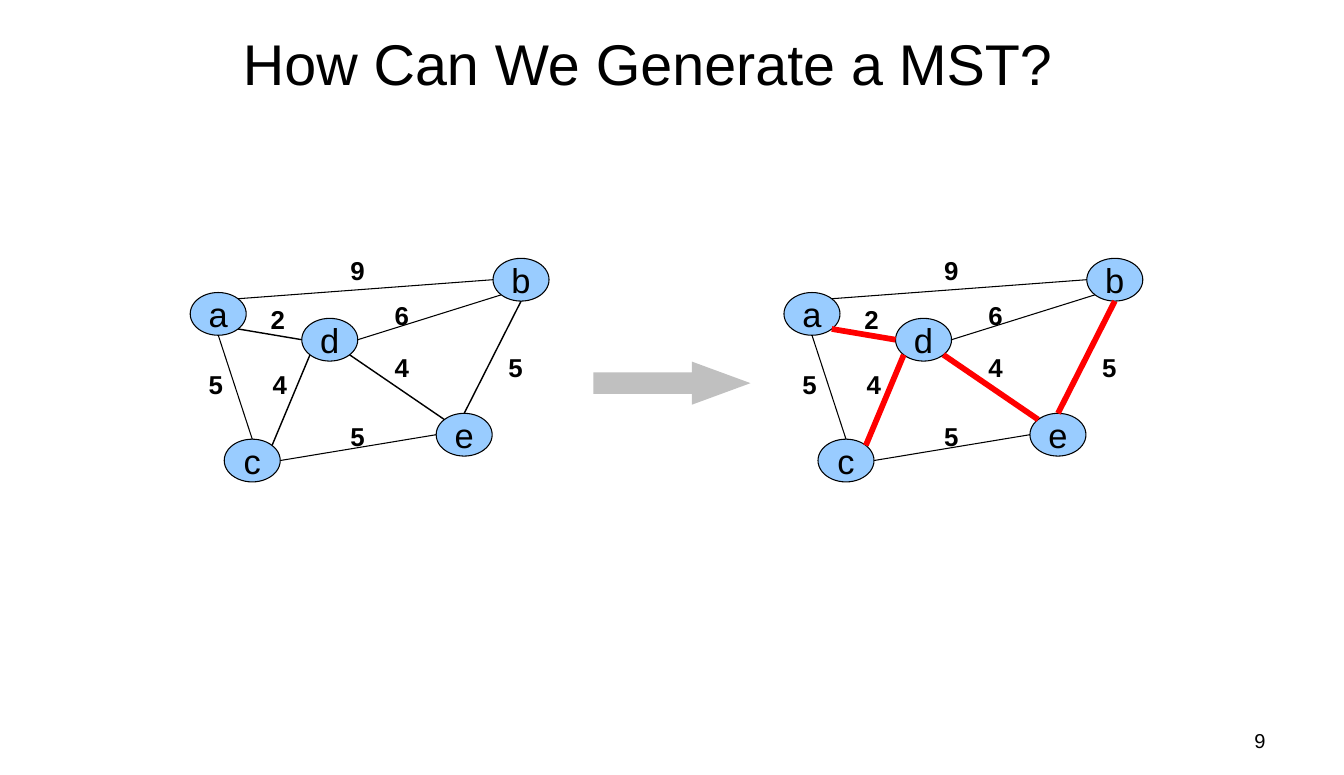
from dataclasses import dataclass
from math import sqrt

from pptx import Presentation
from pptx.dml.color import RGBColor
from pptx.enum.shapes import MSO_CONNECTOR, MSO_SHAPE
from pptx.enum.text import MSO_ANCHOR, MSO_AUTO_SIZE, PP_ALIGN
from pptx.oxml.ns import qn
from pptx.util import Pt


@dataclass(frozen=True)
class Theme:
    font: str = "Arial"
    ink: str = "000000"
    node: str = "99CCFF"
    tree: str = "FF0000"
    arrow: str = "C0C0C0"
    title: int = 40
    name: int = 24
    cost: int = 18
    page: int = 14
    thin: float = 0.75
    mid: float = 1
    thick: float = 4


THEME = Theme()
TITLE = "How Can We Generate a MST? "
PAGE = "9"
NODES = {  # left, top
    "a": (132.5, 203.8),
    "c": (156.2, 306),
    "e": (303.8, 288),
    "d": (210.2, 221.8),
    "b": (343.4, 180),
}
EDGES = [  # from, site, to, site, cost, cost left, cost top, in tree
    ("a", "ne", "b", "w", "9", 236.9, 174.2, False),
    ("d", "e", "b", "sw", "6", 267.8, 205.2, False),
    ("a", "s", "c", "n", "5", 138.2, 253.4, False),
    ("a", "se", "d", "w", "2", 181.4, 208, True),
    ("c", "ne", "d", "sw", "4", 182.9, 253.4, True),
    ("d", "se", "e", "nw", "4", 267.8, 241.2, True),
    ("b", "s", "e", "n", "5", 347, 241.2, True),
    ("e", "w", "c", "e", "5", 236.9, 289.4, False),
]
NODE_W, NODE_H = 39, 29.8
COST_W, COST_H = 24.5, 28.8
SHIFT = 413.5  # from the first graph to the second


def box(x, y, w, h):
    return Pt(x), Pt(y), Pt(w), Pt(h)


def write(shape, text, size, bold=False, align=PP_ALIGN.LEFT,
          anchor=MSO_ANCHOR.TOP, wrap=False):
    frame = shape.text_frame
    frame.text = text
    frame.word_wrap = wrap
    frame.auto_size = MSO_AUTO_SIZE.NONE
    frame.vertical_anchor = anchor
    para = frame.paragraphs[0]
    para.alignment = align
    font = para.runs[0].font
    font.name, font.size, font.bold = THEME.font, Pt(size), bold
    font.color.rgb = RGBColor.from_string(THEME.ink)


def add_solid(shapes, kind, place, fill):
    shape = shapes.add_shape(kind, *place)
    shape.shadow.inherit = False
    shape.fill.solid()
    shape.fill.fore_color.rgb = RGBColor.from_string(fill)
    return shape


def set_line(shape, color, width):
    shape.line.color.rgb = RGBColor.from_string(color)
    shape.line.width = Pt(width)


def site(name, side, dx):
    """Point on a node's rim in the given compass direction."""
    x, y = NODES[name]
    right = ("e" in side) - ("w" in side)
    down = ("s" in side) - ("n" in side)
    reach = 0.5 / sqrt(len(side))
    return (Pt(x + dx + NODE_W * (0.5 + right * reach)),
            Pt(y + NODE_H * (0.5 + down * reach)))


def add_graph(slide, dx, show):
    """Draw the graph dx points to the right, with its tree in colour if show."""
    shapes = slide.shapes.add_group_shape().shapes
    for name, (x, y) in NODES.items():
        node = add_solid(shapes, MSO_SHAPE.OVAL,
                         box(x + dx, y, NODE_W, NODE_H), THEME.node)
        set_line(node, THEME.ink, THEME.thin)
        write(node, name, THEME.name, align=PP_ALIGN.CENTER,
              anchor=MSO_ANCHOR.MIDDLE)
    for start, out, end, into, *_, tree in EDGES:
        edge = shapes.add_connector(MSO_CONNECTOR.STRAIGHT,
                                    *site(start, out, dx), *site(end, into, dx))
        if tree and show:
            set_line(edge, THEME.tree, THEME.thick)
        else:
            set_line(edge, THEME.ink, THEME.mid if tree else THEME.thin)
        props = edge._element.spPr
        props.append(props.makeelement(qn("a:effectLst"), {}))
    for *_, cost, x, y, _ in EDGES:
        label = shapes.add_textbox(*box(x + dx, y, COST_W, COST_H))
        write(label, cost, THEME.cost, bold=True)


def main():
    deck = Presentation()
    deck.slide_width, deck.slide_height = Pt(936), Pt(540)
    slide = deck.slides.add_slide(deck.slide_layouts[5])

    title = slide.shapes.title
    title.left, title.top, title.width, title.height = box(35.3, 8, 842.4, 71.3)
    write(title, TITLE, THEME.title, align=PP_ALIGN.CENTER,
          anchor=MSO_ANCHOR.MIDDLE, wrap=True)
    page = slide.shapes.add_textbox(*box(670.3, 504, 218.2, 25.2))
    write(page, PAGE, THEME.page, align=PP_ALIGN.RIGHT, wrap=True)

    add_graph(slide, 0, False)
    add_graph(slide, SHIFT, True)
    arrow = add_solid(slide.shapes, MSO_SHAPE.RIGHT_ARROW,
                      box(413.3, 252, 109.4, 30), THEME.arrow)
    arrow.adjustments[1] = 1.36
    arrow.line.fill.background()
    deck.save("out.pptx")


if __name__ == "__main__":
    main()
